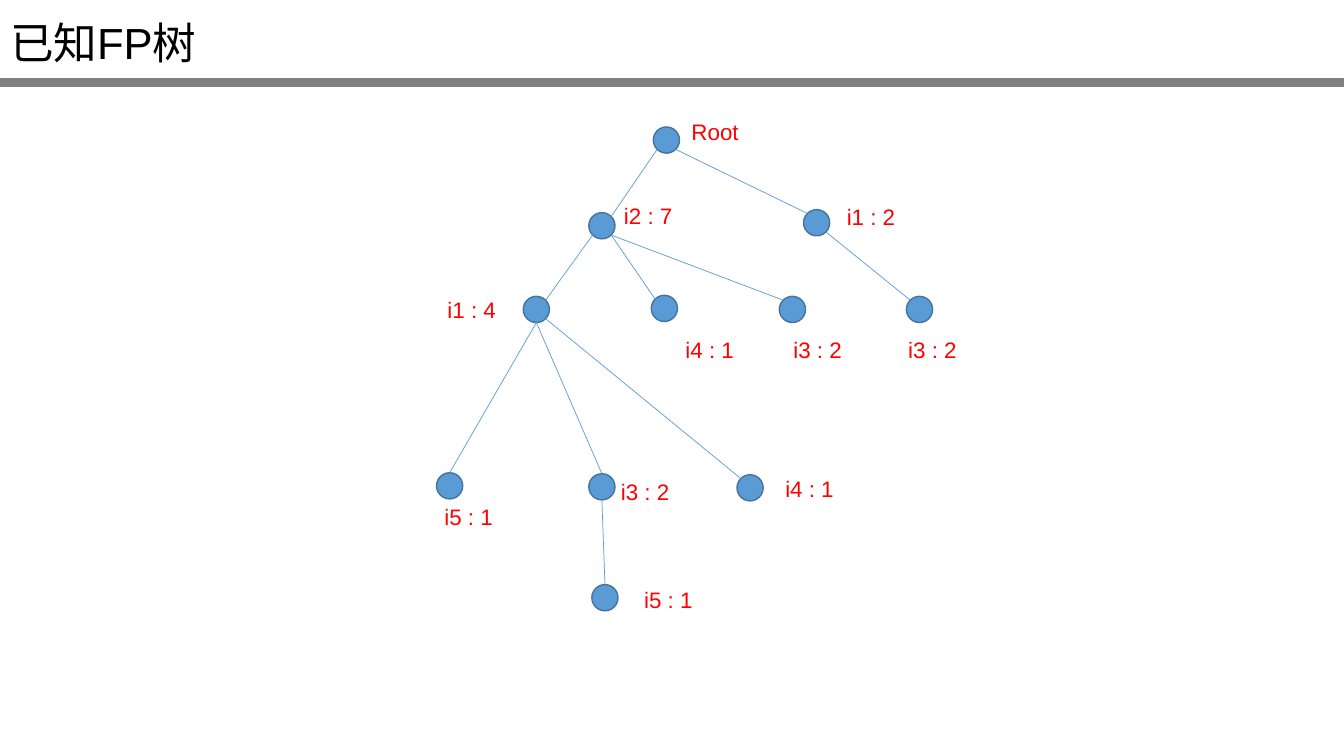
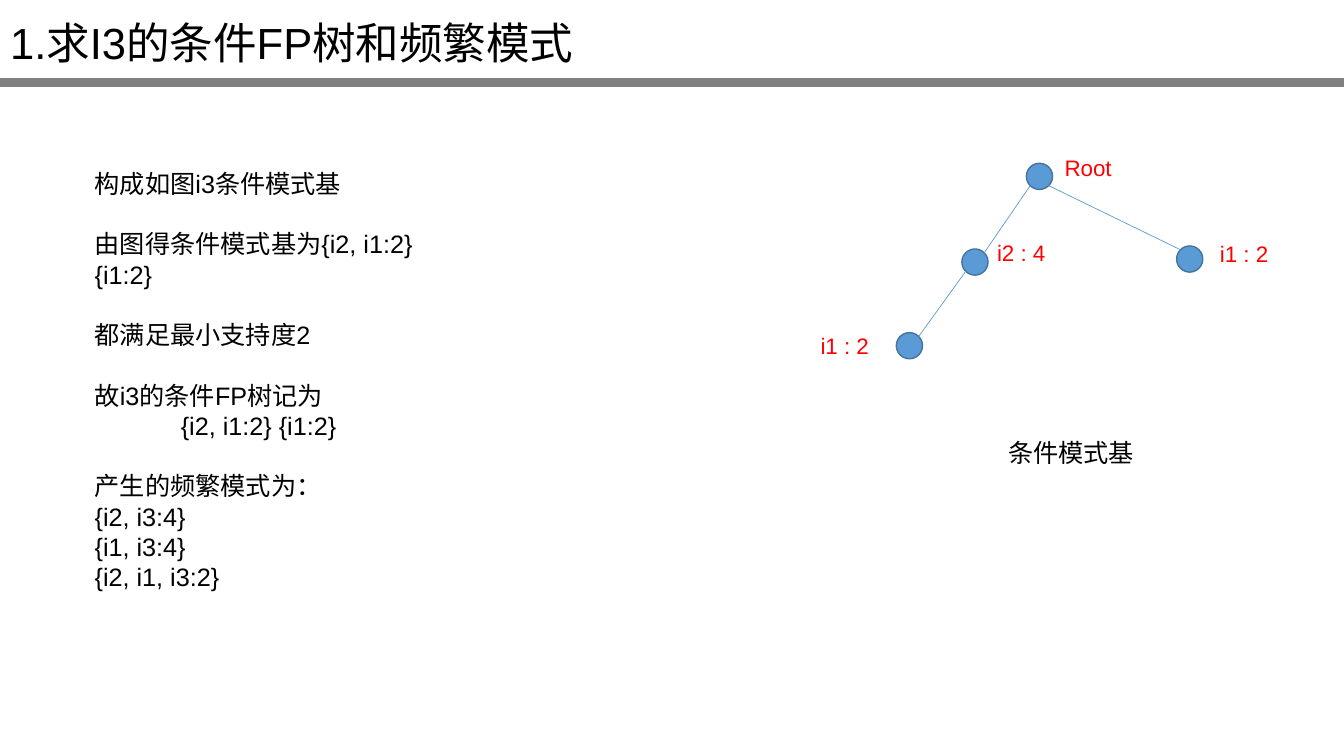
from math import cos, pi, sin

from lxml.etree import SubElement
from pptx import Presentation
from pptx.dml.color import RGBColor as RGB
from pptx.enum.shapes import MSO_CONNECTOR as LINK, MSO_SHAPE as SHAPE
from pptx.enum.text import MSO_ANCHOR as ANCHOR, MSO_AUTO_SIZE as FIT, PP_ALIGN as ALIGN
from pptx.oxml.ns import qn
from pptx.util import Pt

PX = 9144  # 100 px to the inch
BLACK = RGB(0x00, 0x00, 0x00)
RED = RGB(0xFF, 0x00, 0x00)
GRAY = RGB(0x80, 0x80, 0x80)
BLUE = RGB(0x5B, 0x9B, 0xD5)
NAVY = RGB(0x43, 0x73, 0x9E)

HEAD = {"name": "Arial", "size": Pt(31.1), "bold": False}
BODY = {"name": "Arial", "size": Pt(18)}
MARK = {"name": "Arial", "size": Pt(16)}
DOT = 26  # node diameter


def write(para, text, style, color):
    run = para.add_run()
    run.text = text
    for key, value in style.items():
        setattr(run.font, key, value)
    run.font.color.rgb = color


def draw(shapes, kind, box, fill, edge):
    shape = shapes.add_shape(kind, *(n * PX for n in box))
    shape.shadow.inherit = False
    shape.fill.solid()
    shape.fill.fore_color.rgb = fill
    shape.line.color.rgb = edge
    shape.line.width = Pt(1)


# Node: left, top, parent, site on the parent, label left, top, width.
# Ellipse sites run counterclockwise from the top, 0 to 7.
NODES = {
    "root": (648, 126, None, None, 676, 112, 142),
    "i2": (584, 211, "root", 3, 609, 196, 142),
    "i2 i1": (519, 294, "i2", 3, 434, 289, 74),
    "i2 i1 i5": (433, 469, "i2 i1", 4, 431, 494, 80),
    "i2 i4": (646, 293, "i2", 5, 670, 329, 81),
    "i2 i3": (773, 294, "i2", 5, 777, 329, 72),
    "i2 i1 i4": (731, 471, "i2 i1", 5, 769, 466, 73),
    "i1": (797, 208, "root", 5, 830, 197, 72),
    "i1 i3": (899, 294, "i1", 5, 891, 329, 76),
    "i2 i1 i3": (584, 470, "i2 i1", 4, 606, 469, 74),
    "i2 i1 i3 i5": (587, 580, "i2 i1 i3", 4, 629, 577, 75),
}
FULL = {
    "root": "Root", "i2": "i2 : 7", "i2 i1": "i1 : 4", "i2 i1 i5": "i5 : 1",
    "i2 i4": "i4 : 1", "i2 i3": "i3 : 2", "i2 i1 i4": "i4 : 1",
    "i1": "i1 : 2", "i1 i3": "i3 : 2", "i2 i1 i3": "i3 : 2",
    "i2 i1 i3 i5": "i5 : 1",
}
BASE = {"root": "Root", "i2": "i2 : 4", "i2 i1": "i1 : 2", "i1": "i1 : 2"}

# Page: title, title width, tree labels, tree shift
PAGES = [
    ("已知FP树", 404, FULL, 0, 0),
    ("1.求I3的条件FP树和频繁模式", 735, BASE, 370, 36),
]

deck = Presentation()
deck.slide_width, deck.slide_height = 1333 * PX, 750 * PX

for name, width, tree, dx, dy in PAGES:
    slide = deck.slides.add_slide(deck.slide_layouts[5])

    # Title
    title = slide.shapes.title
    title.left, title.top, title.width, title.height = 0, 0, width * PX, 90 * PX
    frame = title.text_frame
    frame.auto_size, frame.vertical_anchor = FIT.NONE, ANCHOR.MIDDLE
    para = frame.paragraphs[0]
    para.alignment, para.line_spacing = ALIGN.LEFT, 0.9
    write(para, name, HEAD, BLACK)

    # Tree
    group = slide.shapes.add_group_shape().shapes
    for key, label in tree.items():
        left, top, parent, site, x, y, w = NODES[key]
        draw(group, SHAPE.OVAL, (left + dx, top + dy, DOT, DOT), BLUE, NAVY)
        box = group.add_textbox((x + dx) * PX, (y + dy) * PX, w * PX, 37 * PX)
        box.text_frame.word_wrap = True
        write(box.text_frame.paragraphs[0], label, MARK, RED)
        if parent is None:
            continue

        # Branch: leaves the parent and enters the child at the opposite site
        ends = []
        for node, spot in ((parent, site), (key, (site + 4) % 8)):
            turn = spot * pi / 4
            ends.append(round((NODES[node][0] + dx + DOT / 2 * (1 - sin(turn))) * PX))
            ends.append(round((NODES[node][1] + dy + DOT / 2 * (1 - cos(turn))) * PX))
        link = group.add_connector(LINK.STRAIGHT, *ends)
        link.line.color.rgb = BLUE
        link.line.width = Pt(0.5)
        SubElement(link._element.spPr, qn("a:effectLst"))

    # Band under the title
    draw(slide.shapes, SHAPE.RECTANGLE, (0, 78, 1333, 8), GRAY, GRAY)

# Caption under the second tree
box = slide.shapes.add_textbox(990 * PX, 429 * PX, 145 * PX, 40 * PX)
write(box.text_frame.paragraphs[0], "条件模式基", BODY, BLACK)

# Steps: text, gap above in points, alignment
STEPS = [
    ("构成如图i3条件模式基", 0, ALIGN.LEFT),
    ("由图得条件模式基为{i2, i1:2} {i1:2}", 21.6, ALIGN.LEFT),
    ("都满足最小支持度2", 21.6, ALIGN.LEFT),
    ("故i3的条件FP树记为", 21.6, ALIGN.LEFT),
    ("{i2, i1:2} {i1:2}", 0, ALIGN.CENTER),
    ("产生的频繁模式为：", 21.6, ALIGN.LEFT),
    ("{i2, i3:4}", 0, ALIGN.LEFT),
    ("{i1, i3:4}", 0, ALIGN.LEFT),
    ("{i2, i1, i3:2}", 0, ALIGN.LEFT),
]
box = slide.shapes.add_textbox(84 * PX, 162 * PX, 345 * PX, 404 * PX)
frame = box.text_frame
frame.word_wrap = True
for i, (text, gap, align) in enumerate(STEPS):
    para = frame.add_paragraph() if i else frame.paragraphs[0]
    para.space_before, para.alignment = Pt(gap), align
    write(para, text, BODY, BLACK)

deck.save("out.pptx")
